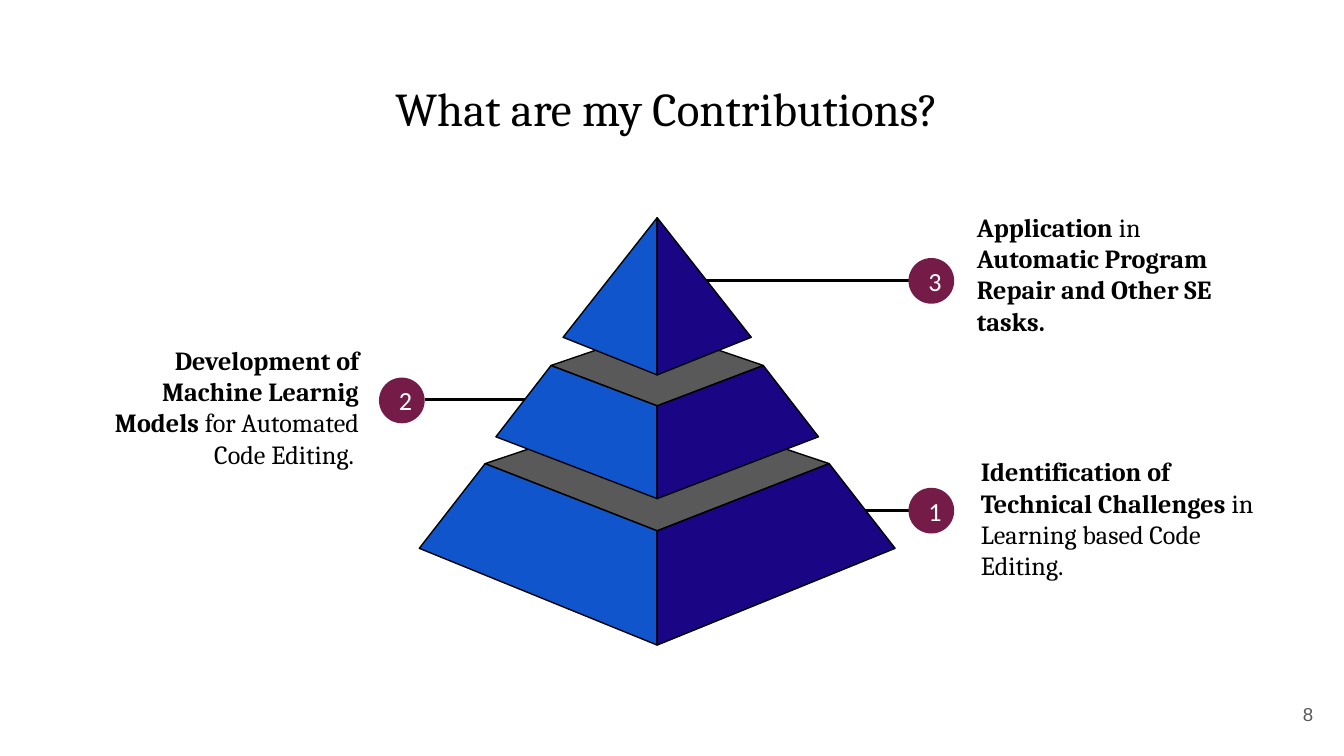
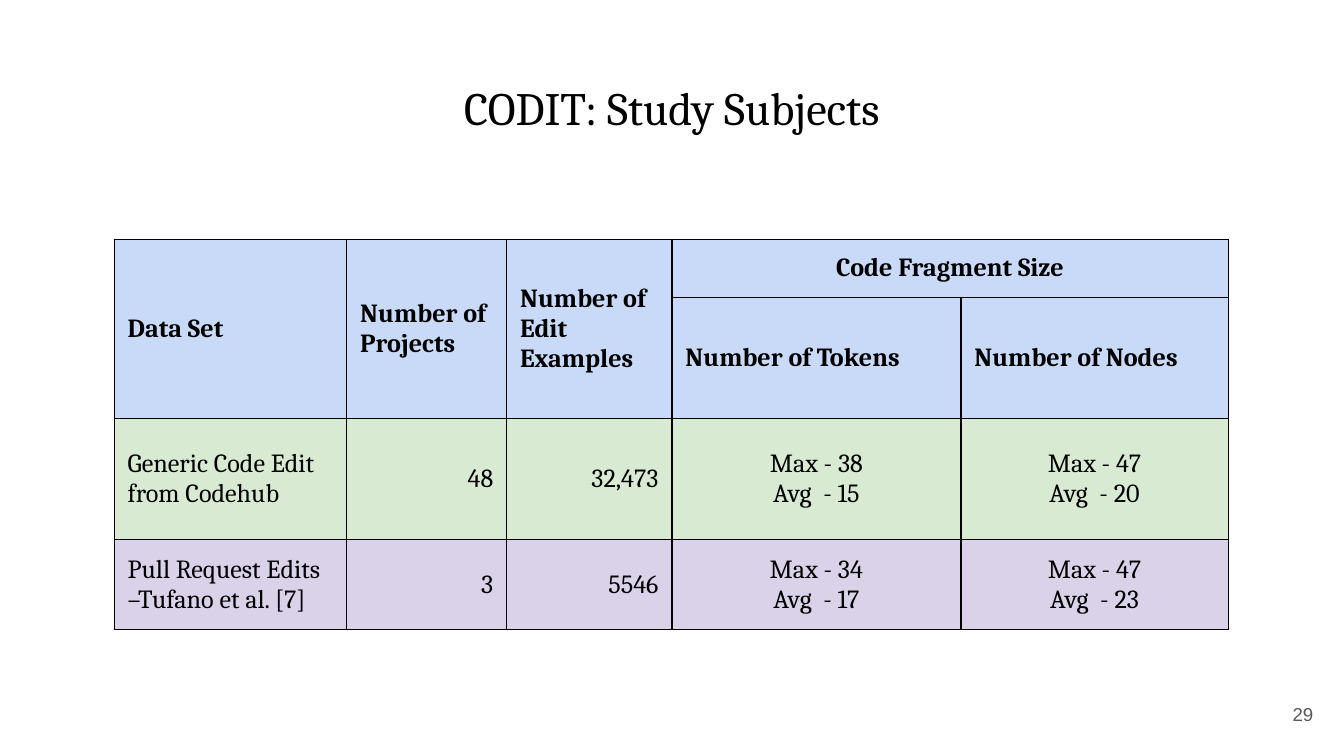
from dataclasses import dataclass
from typing import Any

from lxml import etree
from pptx import Presentation
from pptx import util as u
from pptx.dml.color import RGBColor
from pptx.enum import shapes, text
from pptx.oxml import ns

LEFT, CENTER, RIGHT = text.PP_ALIGN.LEFT, text.PP_ALIGN.CENTER, text.PP_ALIGN.RIGHT
TOP, MIDDLE = text.MSO_ANCHOR.TOP, text.MSO_ANCHOR.MIDDLE


@dataclass(frozen=True)
class Theme:
    ink: str = "000000"
    paper: str = "FFFFFF"
    muted: str = "595959"
    badge: str = "741B47"
    left_face: str = "1155CC"
    right_face: str = "1A0684"
    lid: str = "595959"
    header_row: str = "C9DAF8"
    generic_row: str = "D9EAD3"
    pull_request_row: str = "D9D2E9"
    serif: str = "Cambria"
    sans: str = "Calibri"
    footer: str = "Arial"
    body_size: float = 14
    footer_size: float = 10
    outline: float = 0.75
    leader: float = 1.5


THEME = Theme()
BODY = {"name": THEME.serif, "size": u.Pt(THEME.body_size), "color": THEME.ink}
BADGE = {"name": THEME.sans, "size": u.Pt(THEME.body_size), "color": THEME.paper}
FOOTER = {"name": THEME.footer, "size": u.Pt(THEME.footer_size), "color": THEME.muted}


@dataclass(frozen=True)
class Box:
    left: float
    top: float
    width: float
    height: float

    def emu(self) -> list[int]:
        return [u.Inches(v) for v in (self.left, self.top, self.width, self.height)]


@dataclass(frozen=True)
class Phrase:
    wording: str
    bold: bool = False


@dataclass(frozen=True)
class Tier:
    lid_half: float
    lid_back: float
    lid_side: float
    lid_front: float
    base_half: float
    base_side: float
    base_front: float


@dataclass(frozen=True)
class Contribution:
    number: str
    badge_left: float
    badge_top: float
    number_align: Any
    leader_from: float
    leader_to: float
    leader_y: float
    box: Box
    align: Any
    phrases: tuple[Phrase, ...]


AXIS = 4.89
BADGE_SIZE = 0.34
TIERS = [
    Tier(1.28, 3.02, 3.45, 3.95, 1.77, 4.08, 4.8),
    Tier(0.79, 2.45, 2.72, 3.02, 1.2, 3.25, 3.71),
    Tier(0, 1.62, 1.62, 1.62, 0.7, 2.51, 2.79),
]
CONTRIBUTIONS = [
    Contribution("1", 6.76, 3.63, CENTER, 6.39, 6.76, 3.8, Box(7.2, 3.29, 2.3, 1.38), LEFT, (
        Phrase("Identification of Technical Challenges ", True),
        Phrase("in Learning based Code Editing."))),
    Contribution("2", 2.82, 2.81, LEFT, 4.1, 3.16, 2.97, Box(0.69, 2.46, 2.08, 1.6), RIGHT, (
        Phrase("Development of Machine Learnig Models", True),
        Phrase(" for Automated\nCode Editing. "))),
    Contribution("3", 6.76, 1.92, LEFT, 5.25, 6.76, 2.09, Box(7.17, 1.47, 2.09, 1.6), LEFT, (
        Phrase("Application", True),
        Phrase(" in "),
        Phrase("Automatic Program Repair and Other SE tasks.", True))),
]

COLUMN_WIDTHS = [1.73, 1.19, 1.23, 2.15, 1.99]
ROW_HEIGHTS = [0.43, 0.67, 0.9, 0.67]
ROW_FILLS = [THEME.header_row, THEME.header_row, THEME.generic_row, THEME.pull_request_row]
DATA_ALIGNS = [LEFT, RIGHT, RIGHT, CENTER, CENTER]
SUBJECTS = [
    ["Data Set", "Number of Projects", "Number of Edit Examples", "Code Fragment Size", ""],
    ["", "", "", "Number of Tokens", "Number of Nodes"],
    ["Generic Code Edit from Codehub", "48", "32,473",
     "Max - 38\nAvg  - 15", "Max - 47\nAvg  - 20"],
    ["Pull Request Edits –Tufano et al. [7]", "3", "5546",
     "Max - 34\nAvg  - 17", "Max - 47\nAvg  - 23"],
]


def set_font(font: Any, style: dict[str, Any]) -> None:
    for attribute, value in style.items():
        if attribute == "color":
            font.color.rgb = RGBColor.from_string(value)
        else:
            setattr(font, attribute, value)


def set_frame(frame: Any, anchor: Any) -> None:
    inset = u.Inches(0.1)
    layout = {"word_wrap": True, "vertical_anchor": anchor, "margin_left": inset,
              "margin_right": inset, "margin_top": inset, "margin_bottom": inset}
    for attribute, value in layout.items():
        setattr(frame, attribute, value)


def write(frame: Any, phrases: tuple[Phrase, ...], style: dict[str, Any],
          align: Any = LEFT, anchor: Any = TOP) -> Any:
    set_frame(frame, anchor)
    paragraph = frame.paragraphs[0]
    paragraph.alignment = align
    for phrase in phrases:
        for index, line in enumerate(phrase.wording.split("\n")):
            if index:
                paragraph.add_line_break()
            run = paragraph.add_run()
            run.text = line
            set_font(run.font, style | {"bold": phrase.bold})
    return paragraph


def add_base(deck: Any, title: str, title_size: float, number: str) -> Any:
    slide = deck.slides.add_slide(deck.slide_layouts[6])
    heading = slide.shapes.add_textbox(*Box(0.34, 0.49, 9.32, 0.63).emu())
    write(heading.text_frame, (Phrase(title),), BODY | {"size": u.Pt(title_size)}, CENTER)
    page = slide.shapes.add_textbox(*Box(9.27, 5.1, 0.6, 0.43).emu())
    write(page.text_frame, (Phrase(number),), FOOTER, RIGHT, MIDDLE)
    return slide


def paint(shape: Any, fill: str) -> None:
    shape.shadow.inherit = False
    shape.fill.solid()
    shape.fill.fore_color.rgb = RGBColor.from_string(fill)


def add_facet(slide: Any, corners: list[tuple[float, float]], fill: str) -> None:
    points = [(u.Inches(x), u.Inches(y)) for x, y in dict.fromkeys(corners)]
    builder = slide.shapes.build_freeform(*points[0], scale=1.0)
    builder.add_line_segments(points[1:], close=True)
    facet = builder.convert_to_shape()
    paint(facet, fill)
    facet.line.color.rgb = RGBColor.from_string(THEME.ink)
    facet.line.width = u.Pt(THEME.outline)


def add_tier(slide: Any, tier: Tier) -> None:
    if tier.lid_half:
        add_facet(slide, [(AXIS - tier.lid_half, tier.lid_side), (AXIS, tier.lid_front),
                          (AXIS + tier.lid_half, tier.lid_side), (AXIS, tier.lid_back)],
                  THEME.lid)
    for side, fill in ((-1, THEME.left_face), (1, THEME.right_face)):
        add_facet(slide, [(AXIS + side * tier.lid_half, tier.lid_side),
                          (AXIS + side * tier.base_half, tier.base_side),
                          (AXIS, tier.base_front), (AXIS, tier.lid_front)], fill)


def add_leader(slide: Any, item: Contribution) -> None:
    y = u.Inches(item.leader_y)
    leader = slide.shapes.add_connector(
        shapes.MSO_CONNECTOR.STRAIGHT, u.Inches(item.leader_from), y, u.Inches(item.leader_to), y)
    leader.line.color.rgb = RGBColor.from_string(THEME.ink)
    leader.line.width = u.Pt(THEME.leader)
    etree.SubElement(leader.element.spPr, ns.qn("a:effectLst"))


def add_contribution(slide: Any, item: Contribution) -> None:
    place = Box(item.badge_left, item.badge_top, BADGE_SIZE, BADGE_SIZE)
    badge = slide.shapes.add_shape(shapes.MSO_SHAPE.OVAL, *place.emu())
    paint(badge, THEME.badge)
    badge.line.fill.background()
    write(badge.text_frame, (Phrase(item.number),), BADGE, item.number_align, MIDDLE)
    caption = slide.shapes.add_textbox(*item.box.emu())
    paragraph = write(caption.text_frame, item.phrases, BODY, item.align)
    paragraph.space_after = u.Pt(16)
    caption.text_frame.auto_size = text.MSO_AUTO_SIZE.SHAPE_TO_FIT_TEXT


def add_borders(cell: Any) -> None:
    properties = cell._tc.get_or_add_tcPr()
    for edge in ("lnL", "lnR", "lnT", "lnB"):
        border = etree.SubElement(properties, ns.qn(f"a:{edge}"), w=str(u.Pt(THEME.outline)))
        solid = etree.SubElement(border, ns.qn("a:solidFill"))
        etree.SubElement(solid, ns.qn("a:srgbClr"), val=THEME.ink)


def fill_cell(cell: Any, wording: str, fill: str, align: Any, bold: bool) -> None:
    add_borders(cell)
    cell.fill.solid()
    cell.fill.fore_color.rgb = RGBColor.from_string(fill)
    set_frame(cell.text_frame, MIDDLE)
    inset = u.Inches(0.1)
    for attribute in ("margin_left", "margin_right", "margin_top", "margin_bottom"):
        setattr(cell, attribute, inset)
    cell.vertical_anchor = MIDDLE
    cell.text_frame.text = wording
    for paragraph in cell.text_frame.paragraphs:
        paragraph.alignment = align
        set_font(paragraph.font, BODY | {"bold": bold})
        for run in paragraph.runs:
            set_font(run.font, BODY | {"bold": bold})


def add_subjects(slide: Any) -> None:
    place = Box(0.85, 1.78, sum(COLUMN_WIDTHS), sum(ROW_HEIGHTS))
    subjects = slide.shapes.add_table(len(ROW_HEIGHTS), len(COLUMN_WIDTHS), *place.emu()).table
    subjects.first_row = subjects.horz_banding = False
    for column, width in zip(subjects.columns, COLUMN_WIDTHS):
        column.width = u.Inches(width)
    for r, (height, fill) in enumerate(zip(ROW_HEIGHTS, ROW_FILLS)):
        subjects.rows[r].height = u.Inches(height)
        header = fill == THEME.header_row
        for c, wording in enumerate(SUBJECTS[r]):
            align = DATA_ALIGNS[c]
            if header:
                align = CENTER if (r, c) == (0, 3) else LEFT
            fill_cell(subjects.cell(r, c), wording, fill, align, header)
    for c in range(3):
        subjects.cell(0, c).merge(subjects.cell(1, c))
    subjects.cell(0, 3).merge(subjects.cell(0, 4))


def main() -> None:
    deck = Presentation()
    deck.slide_width, deck.slide_height = u.Inches(10), u.Inches(5.625)

    contributions = add_base(deck, "What are my Contributions? ", 25.2, "8")
    for item in CONTRIBUTIONS:
        add_leader(contributions, item)
    for tier in TIERS:
        add_tier(contributions, tier)
    for item in CONTRIBUTIONS:
        add_contribution(contributions, item)

    add_subjects(add_base(deck, "CODIT: Study Subjects", 24.8, "29"))
    deck.save("out.pptx")


if __name__ == "__main__":
    main()
